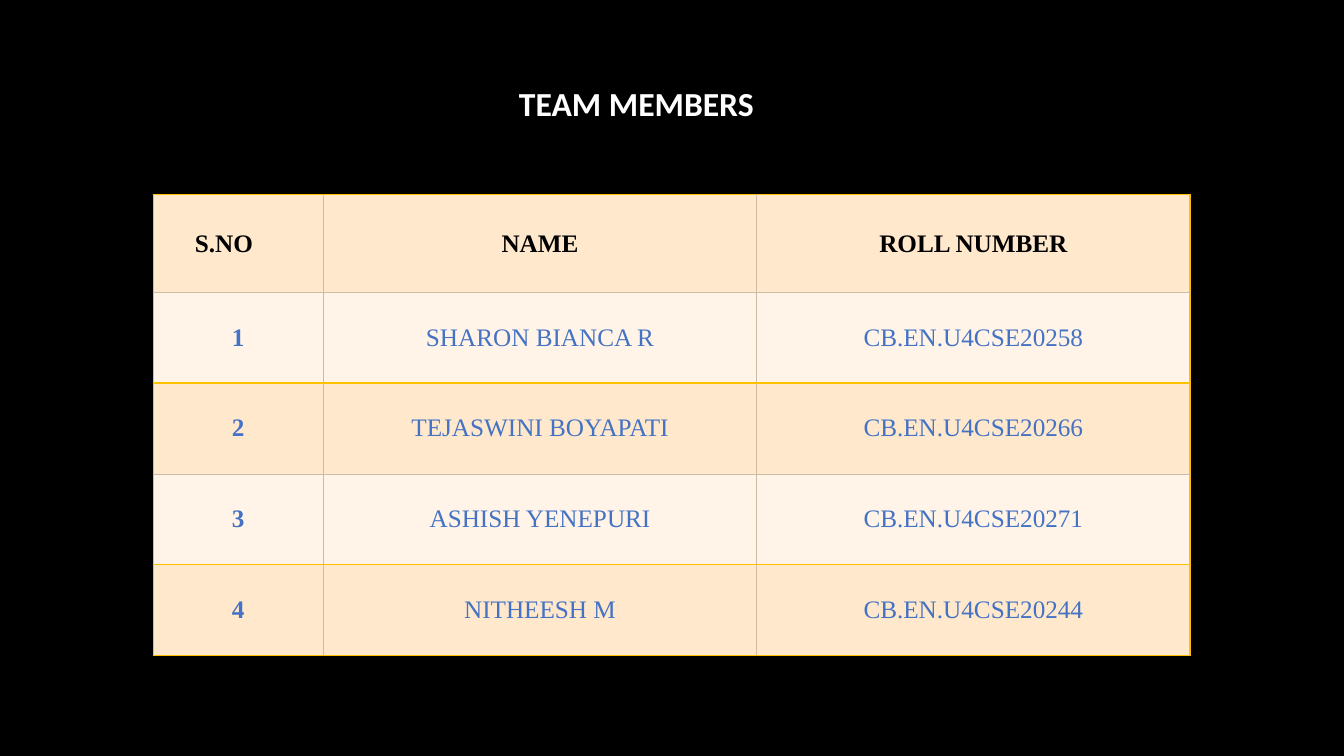
from lxml import etree
from pptx import Presentation
from pptx.dml.color import RGBColor
from pptx.enum.text import MSO_ANCHOR, PP_ALIGN
from pptx.oxml.ns import qn
from pptx.util import Cm, Pt

LEFT, CENTER = PP_ALIGN.LEFT, PP_ALIGN.CENTER
MIDDLE = MSO_ANCHOR.MIDDLE

TITLE = "TEAM MEMBERS"
HEADER = ("S.NO", "NAME", "ROLL NUMBER")
MEMBERS = [
    ("SHARON BIANCA R", "CB.EN.U4CSE20258"),
    ("TEJASWINI BOYAPATI", "CB.EN.U4CSE20266"),
    ("ASHISH YENEPURI", "CB.EN.U4CSE20271"),
    ("NITHEESH M", "CB.EN.U4CSE20244"),
]
COLORS = {
    "background": "000000", "title": "FFFFFF", "header": "000000",
    "member": "4472C4", "band_dark": "FFE8CC", "band_light": "FFF4E7",
    "gold": "FFC000", "divider": "CDBBA4",
}
GOLD_LINE = (COLORS["gold"], Pt(1))
THIN_LINE = (COLORS["divider"], Pt(0.5))
COL_WIDTHS = [Cm(4.29), Cm(10.92), Cm(10.92)]
ROW_HEIGHTS = [Cm(2.45)] + [Cm(2.29)] * len(MEMBERS)


def write(tf, text, align, color, **font):
    p = tf.paragraphs[0]
    p.alignment = align
    r = p.add_run()
    r.text = text
    r.font.color.rgb = RGBColor.from_string(color)
    for name, value in font.items():
        setattr(r.font, name, value)


def add_border(cell, tag, line):
    color, width = line
    ln = etree.SubElement(cell._tc.get_or_add_tcPr(), qn(tag), w=str(width))
    fill = etree.SubElement(ln, qn("a:solidFill"))
    etree.SubElement(fill, qn("a:srgbClr"), val=color)


def row_line(i):
    """Line above row i: gold at the table's edges and after each light band."""
    return GOLD_LINE if i % 2 == 0 or i == len(ROW_HEIGHTS) else THIN_LINE


def col_line(j):
    """Line left of column j: gold only at the table's edges."""
    return GOLD_LINE if j in (0, len(COL_WIDTHS)) else THIN_LINE


def add_members(s):
    rows = [HEADER] + [(str(n), *m) for n, m in enumerate(MEMBERS, 1)]
    table = s.shapes.add_table(len(rows), len(HEADER), Cm(3.86), Cm(4.91),
                               sum(COL_WIDTHS), sum(ROW_HEIGHTS)).table
    table.first_row = table.horz_banding = False
    for col, width in zip(table.columns, COL_WIDTHS):
        col.width = width
    for i, row in enumerate(rows):
        table.rows[i].height = ROW_HEIGHTS[i]
        for j, text in enumerate(row):
            cell = table.cell(i, j)
            cell.vertical_anchor = MIDDLE
            for tag, line in (("a:lnL", col_line(j)), ("a:lnR", col_line(j + 1)),
                              ("a:lnT", row_line(i)), ("a:lnB", row_line(i + 1))):
                add_border(cell, tag, line)
            cell.fill.solid()
            band = "band_light" if i % 2 else "band_dark"
            cell.fill.fore_color.rgb = RGBColor.from_string(COLORS[band])
            write(cell.text_frame, text, CENTER, COLORS["member" if i else "header"],
                  name="Times New Roman", size=Pt(18), bold=i == 0 or j == 0)
    corner = table.cell(0, 0)
    corner.margin_left = Cm(1.05)
    corner.text_frame.paragraphs[0].alignment = LEFT


def add_title(s):
    tf = s.shapes.add_textbox(Cm(10.72), Cm(1.96), Cm(10.39), Cm(1.28)).text_frame
    tf.word_wrap = True
    tf.margin_left = Cm(2.36)
    write(tf, TITLE, LEFT, COLORS["title"], name="Calibri", size=Pt(24), bold=True)


def main():
    prs = Presentation()
    prs.slide_width, prs.slide_height = Cm(33.87), Cm(19.05)
    s = prs.slides.add_slide(prs.slide_layouts[6])
    s.background.fill.solid()
    s.background.fill.fore_color.rgb = RGBColor.from_string(COLORS["background"])
    add_members(s)
    add_title(s)
    prs.save("out.pptx")


if __name__ == "__main__":
    main()
